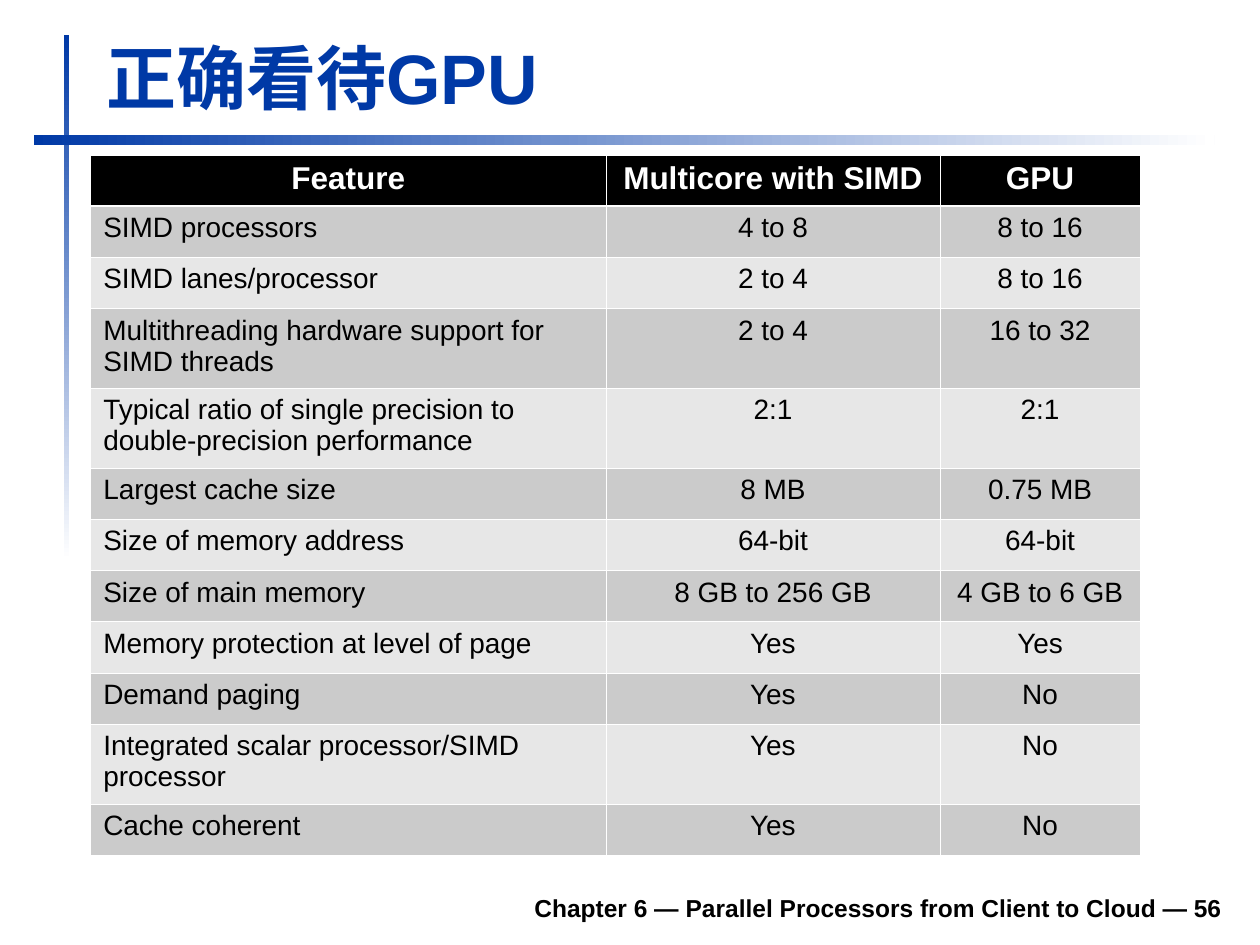
from lxml import etree
from pptx import Presentation
from pptx import util as u
from pptx.dml.color import RGBColor
from pptx.enum import shapes, text
from pptx.oxml.ns import qn

COLORS = {"blue": "0039A6", "white": "FFFFFF", "black": "000000",
          "dark_band": "CBCBCB", "light_band": "E7E7E7"}
FONT = "Arial"
HEADER = ("Feature", "Multicore with SIMD", "GPU")
FEATURES = [
    ("SIMD processors", "4 to 8", "8 to 16"),
    ("SIMD lanes/processor", "2 to 4", "8 to 16"),
    ("Multithreading hardware support for SIMD threads", "2 to 4", "16 to 32"),
    ("Typical ratio of single precision to double-precision performance", "2:1", "2:1"),
    ("Largest cache size", "8 MB", "0.75 MB"),
    ("Size of memory address", "64-bit", "64-bit"),
    ("Size of main memory", "8 GB to 256 GB", "4 GB to 6 GB"),
    ("Memory protection at level of page", "Yes", "Yes"),
    ("Demand paging", "Yes", "No"),
    ("Integrated scalar processor/SIMD processor", "Yes", "No"),
    ("Cache coherent", "Yes", "No"),
]
COLUMN_WIDTHS = (4.09, 2.65, 1.59)
TWO_LINE_ROWS = (3, 4, 10)
TWO_LINE_HEIGHT = 0.63


def color(name):
    return RGBColor.from_string(COLORS[name])


def format_text(para, size, color_name, bold, align):
    para.alignment = align
    for span in para.runs:
        span.font.name = FONT
        span.font.size = u.Pt(size)
        span.font.bold = bold
        span.font.color.rgb = color(color_name)


def add_fading_bar(page, left, top, width, height, angle):
    bar = page.shapes.add_shape(shapes.MSO_SHAPE.RECTANGLE, u.Inches(left),
                                u.Inches(top), u.Inches(width), u.Inches(height))
    bar.shadow.inherit = False
    bar.line.fill.background()
    bar.fill.gradient()
    bar.fill.gradient_angle = angle
    for stop, name in zip(bar.fill.gradient_stops, ("blue", "white")):
        stop.color.rgb = color(name)


def add_text(page, left, top, width, height, words, size, color_name, align):
    """Place one bold line that sits at the bottom of its box."""
    box = page.shapes.add_textbox(u.Inches(left), u.Inches(top),
                                  u.Inches(width), u.Inches(height))
    frame = box.text_frame
    frame.word_wrap = True
    frame.vertical_anchor = text.MSO_ANCHOR.BOTTOM
    frame.text = words
    format_text(frame.paragraphs[0], size, color_name, True, align)


def set_borders(cell, widths):
    """Draw white borders; widths maps each side (L, R, T, B) to points."""
    props = cell._tc.get_or_add_tcPr()
    for index, side in enumerate("LRTB"):
        line = etree.Element(qn(f"a:ln{side}"), w=str(u.Pt(widths[side])))
        fill = etree.SubElement(line, qn("a:solidFill"))
        etree.SubElement(fill, qn("a:srgbClr"), val=COLORS["white"])
        props.insert(index, line)


def style_cell(cell, row, column):
    is_header = row == 0
    band = "black" if is_header else ("light_band", "dark_band")[row % 2]
    cell.fill.solid()
    cell.fill.fore_color.rgb = color(band)
    centred = is_header or column > 0
    format_text(cell.text_frame.paragraphs[0], 18 if is_header else 16,
                "white" if is_header else "black", is_header,
                text.PP_ALIGN.CENTER if centred else text.PP_ALIGN.LEFT)
    thin, thick = 0.45, 1.47
    set_borders(cell, {"L": thin, "R": thin,
                       "T": thick if row == 1 else thin,
                       "B": thick if is_header else thin})


def add_feature_table(page, left, top, width, height):
    rows = [HEADER] + FEATURES
    frame = page.shapes.add_table(len(rows), len(HEADER), u.Inches(left),
                                  u.Inches(top), u.Inches(width), u.Inches(height))
    table = frame.table
    for column, share in zip(table.columns, COLUMN_WIDTHS):
        column.width = u.Inches(width * share / sum(COLUMN_WIDTHS))
    tall = len(TWO_LINE_ROWS)
    single_height = (height - tall * TWO_LINE_HEIGHT) / (len(rows) - tall)
    for r, values in enumerate(rows):
        table.rows[r].height = u.Inches(
            TWO_LINE_HEIGHT if r in TWO_LINE_ROWS else single_height)
        for c, value in enumerate(values):
            cell = table.cell(r, c)
            cell.text_frame.text = value
            style_cell(cell, r, c)


def main():
    deck = Presentation()
    deck.slide_width, deck.slide_height = u.Inches(10), u.Inches(7.5)
    page = deck.slides.add_slide(deck.slide_layouts[6])
    add_fading_bar(page, 0.51, 0.28, 0.04, 4.17, 270)
    add_fading_bar(page, 0.27, 1.07, 9.37, 0.08, 0)
    add_text(page, 0.75, 0.22, 9.03, 0.77, "正确看待GPU", 40, "blue",
             text.PP_ALIGN.LEFT)
    add_text(page, 1.85, 6.98, 7.95, 0.39,
             "Chapter 6 — Parallel Processors from Client to Cloud — 56",
             14, "black", text.PP_ALIGN.RIGHT)
    add_feature_table(page, 0.72, 1.23, 8.33, 5.55)
    deck.save("out.pptx")


if __name__ == "__main__":
    main()
